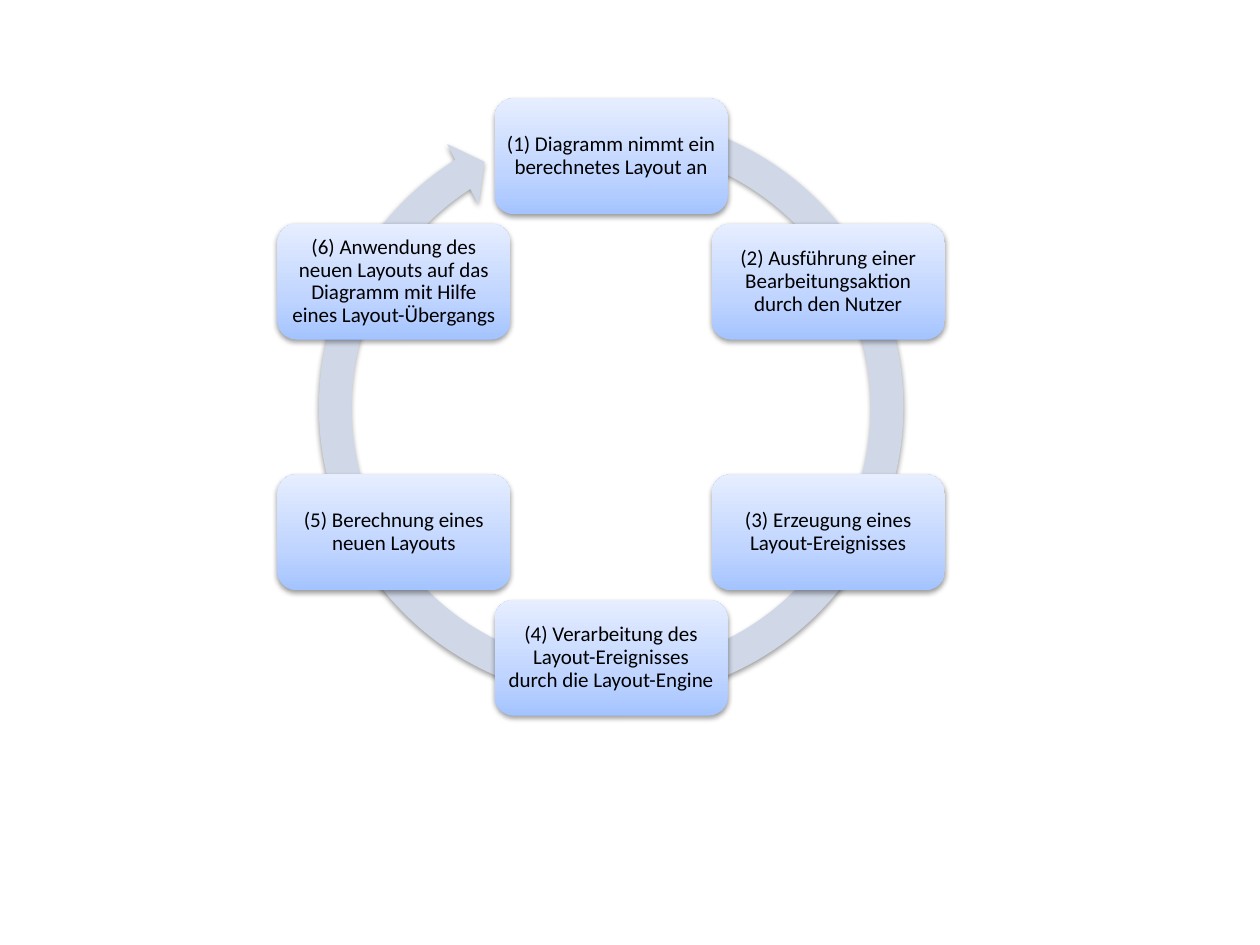
from dataclasses import dataclass
from math import cos, radians, sin

from lxml.etree import SubElement
from pptx import Presentation
from pptx.dml.color import RGBColor
from pptx.enum.shapes import MSO_SHAPE
from pptx.enum.text import MSO_ANCHOR, PP_ALIGN
from pptx.oxml.ns import qn
from pptx.shapes.autoshape import Shape
from pptx.shapes.shapetree import SlideShapes
from pptx.util import Emu, Inches, Pt


@dataclass(frozen=True)
class Theme:
    ring: str = "D0D8E8"
    gradient: tuple[tuple[int, str], ...] = ((0, "A4C4FF"), (35, "BFD4FF"), (100, "E6EEFF"))
    shadow: str = "000000"
    text: str = "000000"
    font: str = "Calibri"
    size: float = 12


@dataclass(frozen=True)
class Cycle:
    center_x: float = 4.85
    center_y: float = 3.23
    radius: float = 1.99
    ring_size: float = 4.92
    step_width: float = 1.85
    step_height: float = 0.92


@dataclass(frozen=True)
class Step:
    number: int
    label: str


THEME = Theme()
CYCLE = Cycle()
RING_ADJUSTMENTS = (0.05274, 3.126, 142.493, 171.146, 0.055)
STEPS = [
    Step(number, label)
    for number, label in enumerate(
        (
            "Diagramm nimmt ein berechnetes Layout an",
            "Ausführung einer Bearbeitungsaktion durch den Nutzer",
            "Erzeugung eines Layout-Ereignisses",
            "Verarbeitung des Layout-Ereignisses durch die Layout-Engine",
            "Berechnung eines neuen Layouts",
            "Anwendung des neuen Layouts auf das Diagramm mit Hilfe eines Layout-Übergangs",
        ),
        start=1,
    )
]


def add_centered(
    shapes: SlideShapes, kind: MSO_SHAPE, x: float, y: float, width: float, height: float
) -> Shape:
    shape = shapes.add_shape(
        kind, Inches(x - width / 2), Inches(y - height / 2), Inches(width), Inches(height)
    )
    shape.line.fill.background()
    add_shadow(shape)
    return shape


def add_shadow(shape: Shape) -> None:
    shape.shadow.inherit = False
    effects = shape.element.spPr.find(qn("a:effectLst"))
    shadow = SubElement(
        effects,
        qn("a:outerShdw"),
        blurRad=str(Pt(3.1)),
        dist=str(Pt(1.6)),
        dir="5400000",
        rotWithShape="0",
    )
    color = SubElement(shadow, qn("a:srgbClr"), val=THEME.shadow)
    SubElement(color, qn("a:alpha"), val="38000")


def fill_gradient(shape: Shape) -> None:
    shape.fill.gradient()
    shape.fill.gradient_angle = 90
    stops = shape.element.spPr.find(qn("a:gradFill")).find(qn("a:gsLst"))
    for stop in list(stops):
        stops.remove(stop)
    for position, color in THEME.gradient:
        stop = SubElement(stops, qn("a:gs"), pos=str(position * 1000))
        SubElement(stop, qn("a:srgbClr"), val=color)


def add_ring(shapes: SlideShapes) -> None:
    ring = add_centered(
        shapes, MSO_SHAPE.CIRCULAR_ARROW,
        CYCLE.center_x, CYCLE.center_y, CYCLE.ring_size, CYCLE.ring_size,
    )
    for index, value in enumerate(RING_ADJUSTMENTS):
        ring.adjustments[index] = value
    ring.fill.solid()
    ring.fill.fore_color.rgb = RGBColor.from_string(THEME.ring)


def add_step(shapes: SlideShapes, step: Step) -> None:
    angle = radians(360 / len(STEPS) * (step.number - 1))
    box = add_centered(
        shapes,
        MSO_SHAPE.ROUNDED_RECTANGLE,
        CYCLE.center_x + CYCLE.radius * sin(angle),
        CYCLE.center_y - CYCLE.radius * cos(angle),
        CYCLE.step_width,
        CYCLE.step_height,
    )
    fill_gradient(box)
    frame = box.text_frame
    frame.word_wrap = True
    frame.vertical_anchor = MSO_ANCHOR.MIDDLE
    inset: Emu = Inches(0.05)
    frame.margin_left = frame.margin_right = inset
    frame.margin_top = frame.margin_bottom = inset
    paragraph = frame.paragraphs[0]
    paragraph.text = f"({step.number}) {step.label}"
    paragraph.alignment = PP_ALIGN.CENTER
    paragraph.line_spacing = 0.9
    paragraph.space_after = Pt(0.35 * THEME.size)
    paragraph.font.name = THEME.font
    paragraph.font.size = Pt(THEME.size)
    paragraph.font.color.rgb = RGBColor.from_string(THEME.text)


def main() -> None:
    presentation = Presentation()
    presentation.slide_width = Inches(10)
    presentation.slide_height = Inches(7.5)
    slide = presentation.slides.add_slide(presentation.slide_layouts[6])
    add_ring(slide.shapes)
    for step in STEPS:
        add_step(slide.shapes, step)
    presentation.save("out.pptx")


main()
